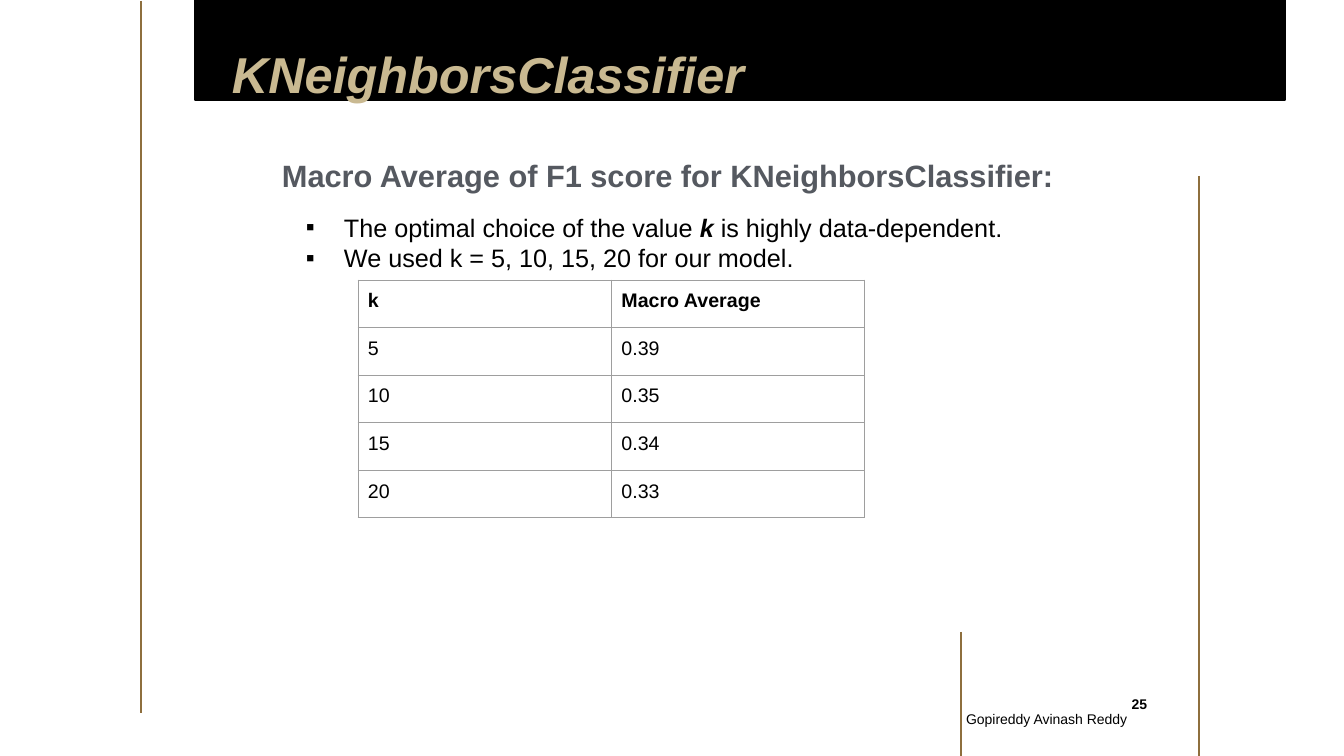
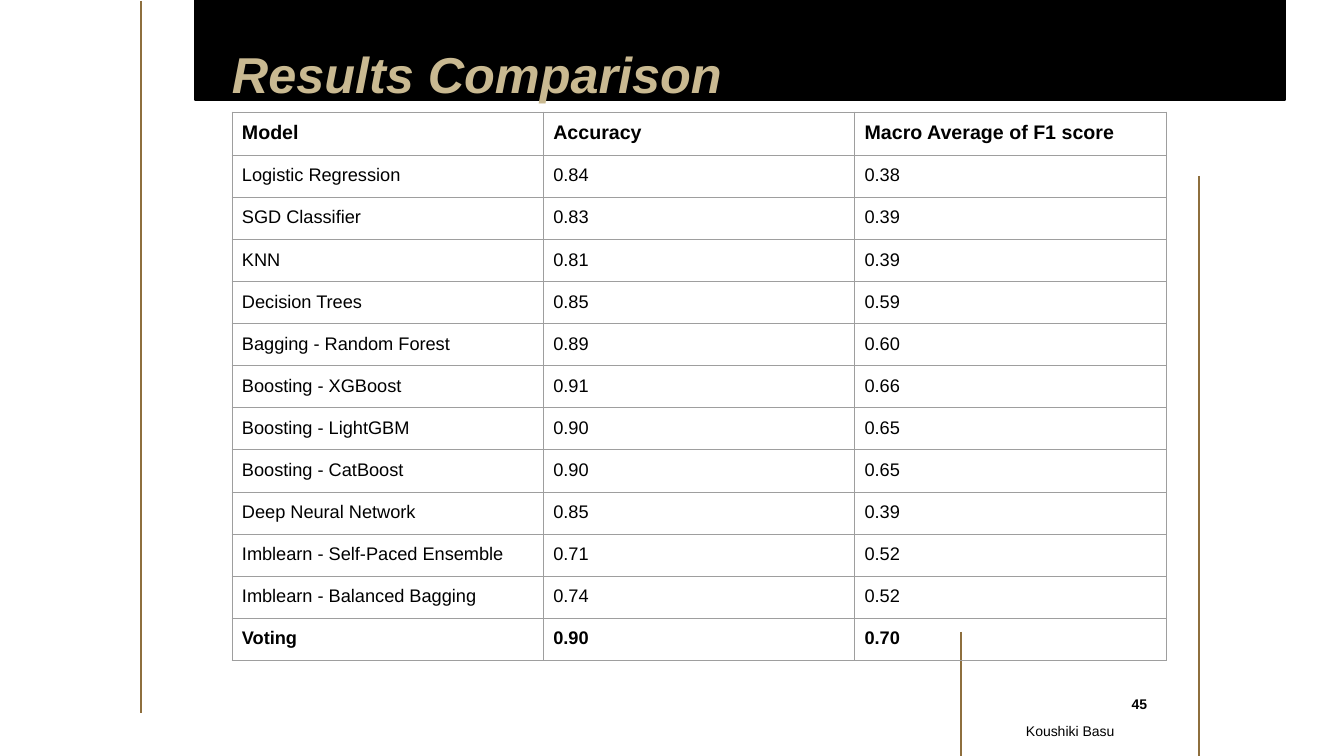
from dataclasses import dataclass

from lxml.etree import SubElement
from pptx import Presentation
from pptx.dml.color import RGBColor
from pptx.enum.shapes import MSO_CONNECTOR, MSO_SHAPE
from pptx.enum.text import MSO_ANCHOR, PP_ALIGN
from pptx.oxml.ns import qn
from pptx.util import Emu, Pt

EMU_PER_PX = 914400 / 100.8


def px(length):
    return Emu(round(length * EMU_PER_PX))


@dataclass(frozen=True)
class Theme:
    font: str = "Arial"
    ink: str = "000000"
    gold: str = "C9B991"
    rule: str = "8E6F3E"
    slate: str = "555960"
    grid: str = "9E9E9E"
    title: int = 36
    subtitle: int = 22
    body: int = 18
    table: int = 14
    dense_table: int = 13
    footer: int = 10


THEME = Theme()
TITLE = dict(size=THEME.title, color=THEME.gold, bold=True, italic=True)
SUBTITLE = dict(size=THEME.subtitle, color=THEME.slate, bold=True)
BODY = dict(size=THEME.body)
EMPHASIS = dict(size=THEME.body, bold=True, italic=True)
FOOTER = dict(size=THEME.footer)
PAGE_NUMBER = dict(size=THEME.footer, bold=True)

BAND = (195, 0, 1090, 100)
RULES = [(141, 1, 141, 713), (961, 632, 961, 756), (1199, 176, 1199, 756)]


class Deck:
    """Holds the style and the slide being built."""

    def __init__(self, theme):
        self.theme = theme
        self.presentation = Presentation()
        self.presentation.slide_width = px(1344)
        self.presentation.slide_height = px(756)
        self.slide = None

    def new_slide(self, title):
        layout = self.presentation.slide_layouts[6]
        self.slide = self.presentation.slides.add_slide(layout)
        self.band(*BAND)
        for ends in RULES:
            self.rule(*ends)
        self.text((232, 48, 881, 56), title, TITLE, anchor=MSO_ANCHOR.BOTTOM)

    def band(self, *box):
        shape = self.slide.shapes.add_shape(MSO_SHAPE.RECTANGLE, *map(px, box))
        shape.shadow.inherit = False
        shape.fill.solid()
        shape.fill.fore_color.rgb = RGBColor.from_string(self.theme.ink)
        shape.line.color.rgb = RGBColor.from_string(self.theme.ink)
        shape.line.width = Pt(1)

    def rule(self, *ends):
        connector = self.slide.shapes.add_connector(MSO_CONNECTOR.STRAIGHT, *map(px, ends))
        connector.line.color.rgb = RGBColor.from_string(self.theme.rule)
        connector.line.width = Pt(1)
        SubElement(connector.element.spPr, qn("a:effectLst"))

    def run(self, paragraph, text, style):
        run = paragraph.add_run()
        run.text = text
        values = dict(name=self.theme.font, bold=False, italic=False, color=self.theme.ink) | style
        run.font.color.rgb = RGBColor.from_string(values.pop("color"))
        values["size"] = Pt(values["size"])
        for name, value in values.items():
            setattr(run.font, name, value)

    def frame(self, shape, anchor, inset_x=0, inset_y=0):
        """Set up the text frame of a shape and return it."""
        settings = dict(
            word_wrap=True, vertical_anchor=anchor,
            margin_left=px(inset_x), margin_right=px(inset_x),
            margin_top=px(inset_y), margin_bottom=px(inset_y),
        )
        for name, value in settings.items():
            setattr(shape.text_frame, name, value)
        return shape.text_frame

    def text(self, box, text, style, align=PP_ALIGN.LEFT, anchor=MSO_ANCHOR.TOP, inset=0):
        shape = self.slide.shapes.add_textbox(*map(px, box))
        paragraph = self.frame(shape, anchor, inset, inset).paragraphs[0]
        paragraph.alignment = align
        self.run(paragraph, text, style)

    def bullets(self, box, items):
        """Each item is a list of (text, style) runs."""
        shape = self.slide.shapes.add_textbox(*map(px, box))
        frame = self.frame(shape, MSO_ANCHOR.TOP)
        for index, runs in enumerate(items):
            paragraph = frame.add_paragraph() if index else frame.paragraphs[0]
            properties = paragraph._p.get_or_add_pPr()
            properties.set("marL", str(px(50)))
            properties.set("indent", str(px(-38)))
            color = SubElement(properties, qn("a:buClr"))
            SubElement(color, qn("a:srgbClr"), val=self.theme.ink)
            SubElement(properties, qn("a:buFont"), typeface=self.theme.font)
            SubElement(properties, qn("a:buChar"), char="▪")
            for text, style in runs:
                self.run(paragraph, text, style)

    def page_number(self, number):
        shape = self.slide.shapes.add_shape(MSO_SHAPE.OVAL, *map(px, (1113, 684, 53, 40)))
        shape.shadow.inherit = False
        shape.fill.background()
        shape.line.fill.background()
        paragraph = self.frame(shape, MSO_ANCHOR.MIDDLE, 2, 5).paragraphs[0]
        paragraph.alignment = PP_ALIGN.CENTER
        self.run(paragraph, str(number), PAGE_NUMBER)

    def cell(self, cell, text, style):
        for side in ("margin_left", "margin_right", "margin_top", "margin_bottom"):
            setattr(cell, side, px(10))
        properties = cell._tc.get_or_add_tcPr()
        for edge in ("a:lnL", "a:lnR", "a:lnT", "a:lnB"):
            line = SubElement(properties, qn(edge), w=str(Pt(0.75)))
            fill = SubElement(line, qn("a:solidFill"))
            SubElement(fill, qn("a:srgbClr"), val=self.theme.grid)
        cell.fill.background()
        self.run(cell.text_frame.paragraphs[0], text, style)

    def table(self, box, rows, size, bold_rows=(0,)):
        shape = self.slide.shapes.add_table(len(rows), len(rows[0]), *map(px, box))
        table = shape.table
        table.first_row = table.horz_banding = False
        for row_index, row in enumerate(rows):
            style = dict(
                size=size if row_index else self.theme.table,
                bold=row_index in bold_rows,
            )
            for column_index, text in enumerate(row):
                self.cell(table.cell(row_index, column_index), text, style)


NEIGHBOR_SCORES = [
    ("k", "Macro Average"),
    ("5", "0.39"),
    ("10", "0.35"),
    ("15", "0.34"),
    ("20", "0.33"),
]

MODEL_SCORES = [
    ("Model", "Accuracy", "Macro Average of F1 score"),
    ("Logistic Regression", "0.84", "0.38"),
    ("SGD Classifier", "0.83", "0.39"),
    ("KNN", "0.81", "0.39"),
    ("Decision Trees", "0.85", "0.59"),
    ("Bagging - Random Forest", "0.89", "0.60"),
    ("Boosting - XGBoost", "0.91", "0.66"),
    ("Boosting - LightGBM", "0.90", "0.65"),
    ("Boosting - CatBoost", "0.90", "0.65"),
    ("Deep Neural Network", "0.85", "0.39"),
    ("Imblearn - Self-Paced Ensemble", "0.71", "0.52"),
    ("Imblearn - Balanced Bagging", "0.74", "0.52"),
    ("Voting", "0.90", "0.70"),
]


def neighbors_slide(deck):
    deck.new_slide("KNeighborsClassifier")
    deck.bullets((294, 212, 812, 376), [
        [
            ("The optimal choice of the value ", BODY),
            ("k", EMPHASIS),
            (" is highly data-dependent.", BODY),
        ],
        [("We used k = 5, 10, 15, 20 for our model.", BODY)],
    ])
    deck.page_number(25)
    deck.text((282, 157, 916, 37), "Macro Average of F1 score for KNeighborsClassifier:", SUBTITLE)
    deck.table((358, 280, 507, 238), NEIGHBOR_SCORES, THEME.table)
    deck.text((916, 699, 221, 40), "Gopireddy Avinash Reddy", FOOTER,
              align=PP_ALIGN.RIGHT, anchor=MSO_ANCHOR.MIDDLE, inset=10)


def results_slide(deck):
    deck.new_slide("Results Comparison")
    deck.page_number(45)
    deck.table((232, 112, 934, 547), MODEL_SCORES, THEME.dense_table,
               bold_rows=(0, len(MODEL_SCORES) - 1))
    deck.text((1016, 714, 152, 37), "Koushiki Basu", FOOTER, inset=10)


def main():
    deck = Deck(THEME)
    neighbors_slide(deck)
    results_slide(deck)
    deck.presentation.save("out.pptx")


if __name__ == "__main__":
    main()
